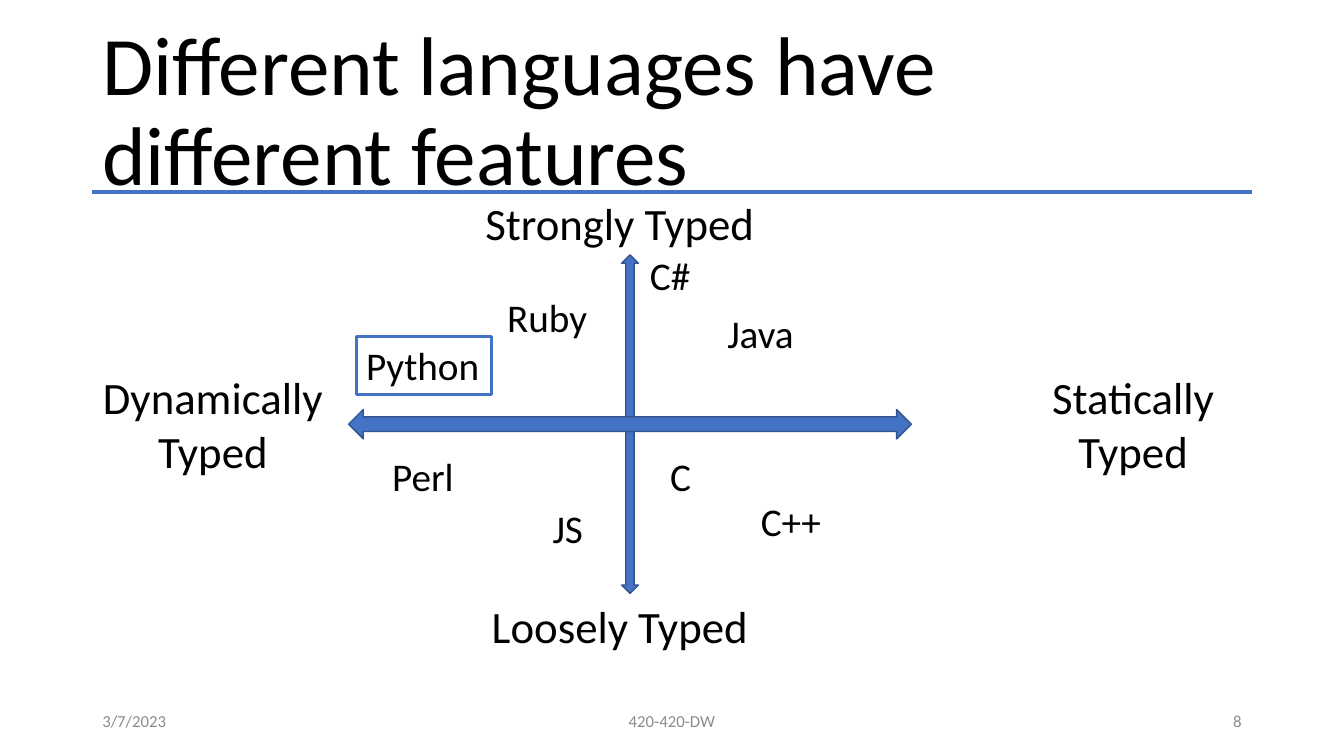
from dataclasses import dataclass
from typing import Optional

from lxml.etree import SubElement
from pptx import Presentation
from pptx.dml.color import RGBColor
from pptx.enum.shapes import MSO_CONNECTOR, MSO_SHAPE
from pptx.enum.text import MSO_ANCHOR, PP_ALIGN
from pptx.oxml.ns import qn
from pptx.slide import Slide
from pptx.util import Emu, Pt

# The slide is a grid of 160 columns by 90 rows, twelve cells to the inch.
CELL = 76200
COLUMNS, ROWS = 160, 90
MARGIN, CONTENT_WIDTH = 11, 138
CENTRE_X, CENTRE_Y = 75, 50.5


@dataclass(frozen=True)
class Theme:
    font: str = "Calibri"
    ink: RGBColor = RGBColor(0x00, 0x00, 0x00)
    muted: RGBColor = RGBColor(0x8C, 0x8C, 0x8C)
    accent: RGBColor = RGBColor(0x44, 0x72, 0xC4)
    accent_dark: RGBColor = RGBColor(0x32, 0x54, 0x91)
    paper: RGBColor = RGBColor(0xFF, 0xFF, 0xFF)
    title: float = 59.4
    axis: float = 32
    language: float = 28
    footer: float = 12
    rule_width: float = 3
    frame_width: float = 2.25
    arrow_width: float = 1


THEME = Theme()


@dataclass(frozen=True)
class Label:
    text: str
    x: float
    y: float
    width: float
    height: float
    size: float
    color: RGBColor = THEME.ink
    align: PP_ALIGN = PP_ALIGN.LEFT
    anchor: MSO_ANCHOR = MSO_ANCHOR.TOP
    line_spacing: Optional[float] = None
    framed: bool = False


@dataclass(frozen=True)
class AxisArrow:
    shape: MSO_SHAPE
    width: float
    height: float


def axis_label(text: str, x: float, y: float, width: float, height: float) -> Label:
    return Label(text, x, y, width, height, THEME.axis, align=PP_ALIGN.CENTER)


def language(text: str, x: float, y: float, width: float, framed: bool = False) -> Label:
    return Label(text, x, y, width, 6.84, THEME.language, framed=framed)


def footer(text: str, x: float, width: float, align: PP_ALIGN) -> Label:
    return Label(text, x, 83.4, width, 4.8, THEME.footer, THEME.muted, align, MSO_ANCHOR.MIDDLE)


TITLE = Label("Different languages have different features", MARGIN, 4.8, CONTENT_WIDTH, 17.4,
              THEME.title, anchor=MSO_ANCHOR.MIDDLE, line_spacing=0.9)
FOOTERS = [
    footer("3/7/2023", MARGIN, 36, PP_ALIGN.LEFT),
    footer("420-420-DW", 53, 54, PP_ALIGN.CENTER),
    footer("8", 113, 36, PP_ALIGN.RIGHT),
]
AXES = [
    AxisArrow(MSO_SHAPE.UP_DOWN_ARROW, 2, 40.3),
    AxisArrow(MSO_SHAPE.LEFT_RIGHT_ARROW, 67, 3.5),
]
AXIS_LABELS = [
    axis_label("Strongly Typed", 55.9, 22.7, 35.8, 7.7),
    axis_label("Loosely Typed", 55.9, 70.7, 35.8, 7.7),
    axis_label("Statically Typed", 117.1, 43.4, 35.6, 14.2),
    axis_label("Dynamically Typed", 10.7, 43.4, 29.3, 14.2),
]
LANGUAGES = [
    language("C", 78.6, 53.2, 4),
    language("C++", 89.4, 58.6, 11.2),
    language("Java", 85.4, 36.2, 11.2),
    language("C#", 76.2, 29.3, 7.7),
    language("Python", 42.4, 40.1, 16.1, framed=True),
    language("JS", 64.6, 59.5, 7.2),
    language("Perl", 45.5, 53.2, 11.2),
    language("Ruby", 59.2, 34.3, 13.2),
]


def cells(count: float) -> Emu:
    return Emu(round(count * CELL))


def add_label(s: Slide, label: Label) -> None:
    box = [cells(n) for n in (label.x, label.y, label.width, label.height)]
    if label.framed:
        sp = s.shapes.add_shape(MSO_SHAPE.RECTANGLE, *box)
        sp.shadow.inherit = False
        sp.fill.solid()
        sp.fill.fore_color.rgb = THEME.paper
        sp.line.color.rgb = THEME.accent
        sp.line.width = Pt(THEME.frame_width)
    else:
        sp = s.shapes.add_textbox(*box)
    tf = sp.text_frame
    tf.text = label.text
    tf.word_wrap = True
    tf.vertical_anchor = label.anchor
    p = tf.paragraphs[0]
    p.alignment = label.align
    p.line_spacing = label.line_spacing
    r = p.runs[0]
    r.font.name = THEME.font
    r.font.size = Pt(label.size)
    r.font.color.rgb = label.color


def add_axis(s: Slide, axis: AxisArrow) -> None:
    sp = s.shapes.add_shape(axis.shape, cells(CENTRE_X - axis.width / 2),
                            cells(CENTRE_Y - axis.height / 2),
                            cells(axis.width), cells(axis.height))
    sp.shadow.inherit = False
    sp.fill.solid()
    sp.fill.fore_color.rgb = THEME.accent
    sp.line.color.rgb = THEME.accent_dark
    sp.line.width = Pt(THEME.arrow_width)


def add_title_rule(s: Slide) -> None:
    y = cells(22.9)
    rule = s.shapes.add_connector(MSO_CONNECTOR.STRAIGHT, cells(MARGIN), y,
                                  cells(MARGIN + CONTENT_WIDTH), y)
    rule.line.color.rgb = THEME.accent
    rule.line.width = Pt(THEME.rule_width)
    SubElement(rule._element.spPr, qn("a:effectLst"))


def main() -> None:
    prs = Presentation()
    prs.slide_width, prs.slide_height = cells(COLUMNS), cells(ROWS)
    s = prs.slides.add_slide(prs.slide_layouts[6])
    add_title_rule(s)
    for axis in AXES:
        add_axis(s, axis)
    for label in [TITLE, *FOOTERS, *AXIS_LABELS, *LANGUAGES]:
        add_label(s, label)
    prs.save("out.pptx")


if __name__ == "__main__":
    main()
